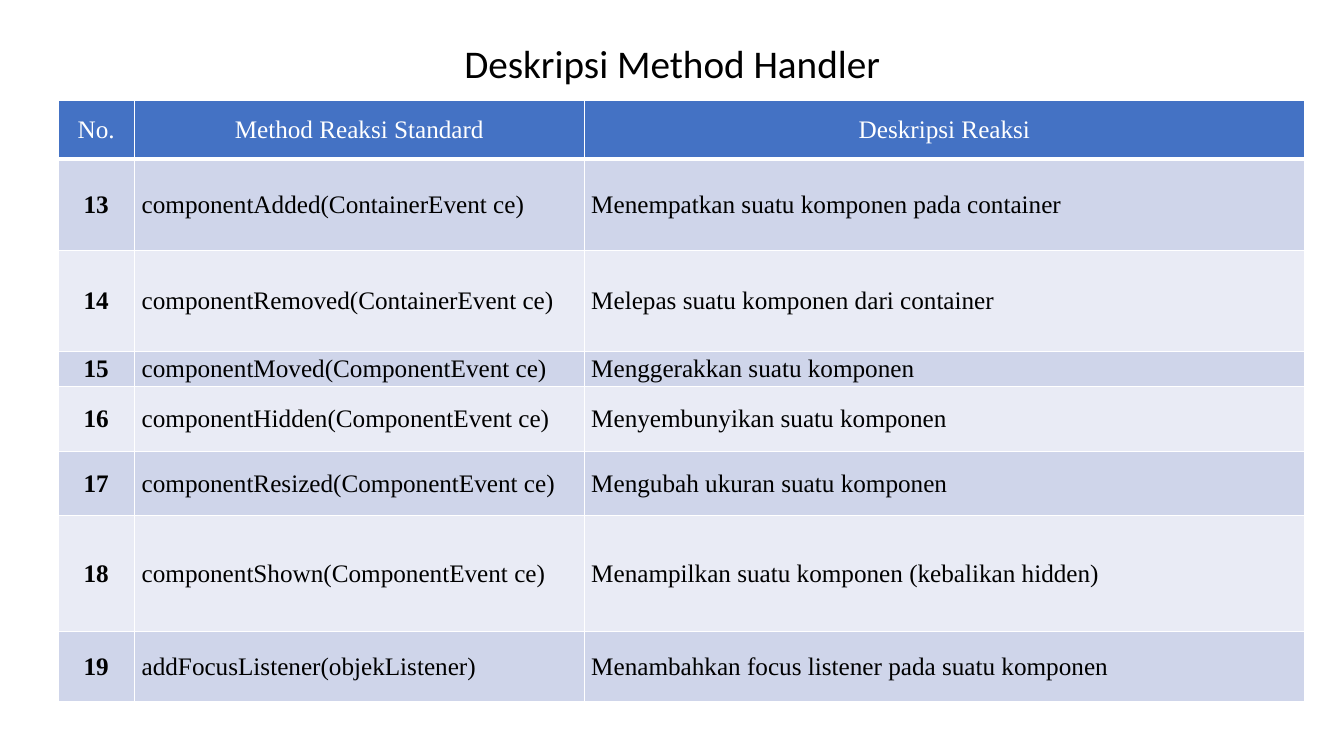
from dataclasses import dataclass

from lxml.etree import SubElement
from pptx import Presentation
from pptx.dml.color import RGBColor
from pptx.enum.text import MSO_ANCHOR, PP_ALIGN
from pptx.oxml.ns import qn
from pptx.slide import Slide
from pptx.table import _Cell
from pptx.util import Cm, Pt

WHITE = RGBColor(0xFF, 0xFF, 0xFF)
BLACK = RGBColor(0x00, 0x00, 0x00)
HEADER_BLUE = RGBColor(0x44, 0x72, 0xC4)
BAND_DARK = RGBColor(0xCF, 0xD5, 0xEA)
BAND_LIGHT = RGBColor(0xE9, 0xEB, 0xF5)

COLUMN_WIDTHS = (1.93, 11.33, 18.16)
COLUMN_ALIGNS = (PP_ALIGN.CENTER, PP_ALIGN.LEFT, PP_ALIGN.JUSTIFY)


@dataclass
class HandlerRow:
    height: float
    number: str
    method: str
    reaction: str


ROWS = [
    HandlerRow(1.47, "No.", "Method Reaksi Standard", "Deskripsi Reaksi"),
    HandlerRow(2.31, "13", "componentAdded(ContainerEvent ce)",
               "Menempatkan suatu komponen pada container"),
    HandlerRow(2.53, "14", "componentRemoved(ContainerEvent ce)",
               "Melepas suatu komponen dari container"),
    HandlerRow(0.89, "15", "componentMoved(ComponentEvent ce)",
               "Menggerakkan suatu komponen"),
    HandlerRow(1.63, "16", "componentHidden(ComponentEvent ce)",
               "Menyembunyikan suatu komponen"),
    HandlerRow(1.63, "17", "componentResized(ComponentEvent ce)",
               "Mengubah ukuran suatu komponen"),
    HandlerRow(2.92, "18", "componentShown(ComponentEvent ce)",
               "Menampilkan suatu komponen (kebalikan hidden)"),
    HandlerRow(1.75, "19", "addFocusListener(objekListener)",
               "Menambahkan focus listener pada suatu komponen"),
]


def add_title(s: Slide, text: str) -> None:
    tf = s.shapes.add_textbox(Cm(5.51), Cm(0.76), Cm(22.86), Cm(1.78)).text_frame
    tf.word_wrap = True
    tf.vertical_anchor = MSO_ANCHOR.MIDDLE
    tf.text = text
    p = tf.paragraphs[0]
    p.alignment = PP_ALIGN.CENTER
    p.line_spacing = 0.9
    font = p.runs[0].font
    font.name, font.size = "Calibri", Pt(28)
    font.color.rgb = BLACK


def set_borders(cell: _Cell, top: float, bottom: float) -> None:
    """Draw white borders; the widths are in points."""
    tc_pr = cell._tc.get_or_add_tcPr()
    for side, width in (("L", 1), ("R", 1), ("T", top), ("B", bottom)):
        ln = SubElement(tc_pr, qn(f"a:ln{side}"), w=str(Pt(width)))
        fill = SubElement(ln, qn("a:solidFill"))
        SubElement(fill, qn("a:srgbClr"), val=str(WHITE))


def fill_cell(cell: _Cell, text: str, row: int, col: int) -> None:
    is_header = row == 0
    set_borders(cell, top=3 if row == 1 else 1, bottom=3 if is_header else 1)
    cell.fill.solid()
    band = BAND_DARK if row % 2 else BAND_LIGHT
    cell.fill.fore_color.rgb = HEADER_BLUE if is_header else band
    cell.vertical_anchor = MSO_ANCHOR.MIDDLE
    cell.margin_left = cell.margin_right = Cm(0.18)
    cell.margin_top = cell.margin_bottom = 0

    cell.text_frame.text = text
    p = cell.text_frame.paragraphs[0]
    p.alignment = PP_ALIGN.CENTER if is_header else COLUMN_ALIGNS[col]
    font = p.runs[0].font
    font.name, font.size = "Times New Roman", Pt(18)
    font.bold = col == 0 and not is_header
    font.color.rgb = WHITE if is_header else BLACK


def add_handler_table(s: Slide, rows: list[HandlerRow]) -> None:
    table = s.shapes.add_table(
        len(rows), len(COLUMN_WIDTHS), Cm(1.46), Cm(2.54),
        Cm(sum(COLUMN_WIDTHS)), Cm(sum(row.height for row in rows)),
    ).table
    for column, width in zip(table.columns, COLUMN_WIDTHS):
        column.width = Cm(width)
    for i, row in enumerate(rows):
        table.rows[i].height = Cm(row.height)
        for j, text in enumerate((row.number, row.method, row.reaction)):
            fill_cell(table.cell(i, j), text, i, j)


def main() -> None:
    prs = Presentation()
    prs.slide_width, prs.slide_height = Cm(33.87), Cm(19.05)
    s = prs.slides.add_slide(prs.slide_layouts[6])

    # Table of handler methods
    add_handler_table(s, ROWS)

    # Title above the table
    add_title(s, "Deskripsi Method Handler")

    prs.save("out.pptx")


if __name__ == "__main__":
    main()
